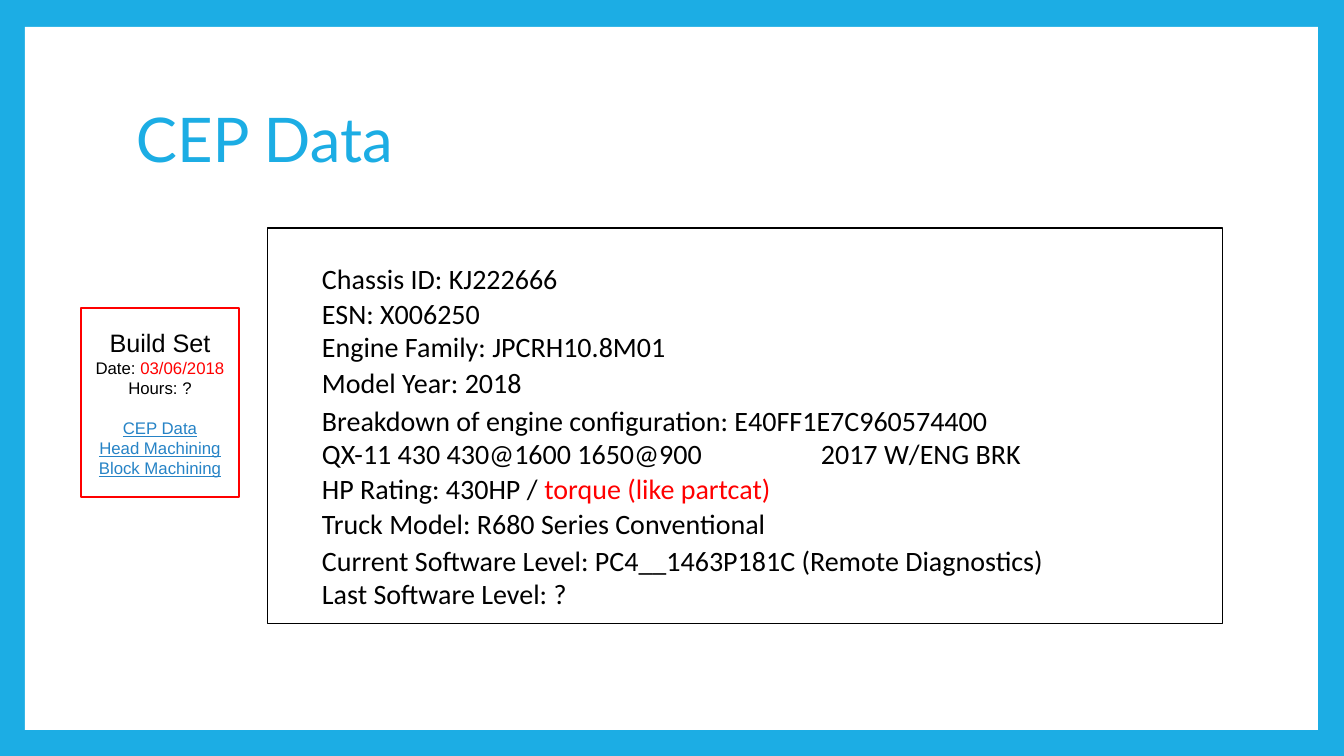
from dataclasses import dataclass
from typing import Any, Optional

from lxml.etree import SubElement
from pptx import Presentation
from pptx.dml.color import RGBColor
from pptx.enum.shapes import MSO_SHAPE
from pptx.enum.text import MSO_ANCHOR, MSO_AUTO_SIZE, PP_ALIGN
from pptx.oxml.ns import qn
from pptx.util import Emu, Pt

EMU_PER_PX = 914400 / 100.8
BLUE = RGBColor(0x1C, 0xAD, 0xE4)
LINK = RGBColor(0x26, 0x83, 0xC6)
RED = RGBColor(0xFF, 0, 0)
BLACK = RGBColor(0, 0, 0)
WHITE = RGBColor(0xFF, 0xFF, 0xFF)

TITLE = {"name": "Lato", "size": Pt(44)}
HEADING = {"name": "Arial", "size": Pt(18)}
DETAIL = {"name": "Arial", "size": Pt(12)}
LINKED = DETAIL | {"underline": True}
DATA = {"name": "Calibri", "size": Pt(20)}
FLUSH = {f"margin_{side}": 0 for side in ("left", "top", "right", "bottom")}


@dataclass(frozen=True)
class Box:
    """A rectangle in pixels."""
    left: int
    top: int
    width: int
    height: int

    def emu(self) -> list[Emu]:
        """Return the four lengths in EMU."""
        return [px(v) for v in (self.left, self.top, self.width, self.height)]


@dataclass(frozen=True)
class Run:
    """A stretch of text in one format."""
    text: str
    font: dict[str, Any]
    color: RGBColor = BLACK


@dataclass(frozen=True)
class Line:
    """A paragraph: its runs and its format."""
    runs: tuple[Run, ...]
    fmt: dict[str, Any]
    tab: int = 0


@dataclass(frozen=True)
class Entry:
    """A text box of the data panel."""
    top: int
    height: int
    lines: tuple[Line, ...]


def px(value: float) -> Emu:
    """Turn pixels into EMU."""
    return Emu(round(value * EMU_PER_PX))


def apply(target: Any, values: dict[str, Any]) -> None:
    """Set every attribute named in values."""
    for name, value in values.items():
        setattr(target, name, value)


def line(*runs: Run, tab: int = 0, **fmt: Any) -> Line:
    """Describe a paragraph."""
    return Line(runs, fmt, tab)


def data(text: str, tab: int = 0) -> Line:
    """Describe a plain line of the data panel."""
    return line(Run(text, DATA), tab=tab)


def write(tf: Any, lines: tuple[Line, ...], **fmt: Any) -> None:
    """Fill a text frame with lines."""
    apply(tf, {"word_wrap": True} | fmt)
    for i, ln in enumerate(lines):
        p = tf.add_paragraph() if i else tf.paragraphs[0]
        apply(p, ln.fmt)
        if ln.tab:
            tabs = SubElement(p._p.get_or_add_pPr(), qn("a:tabLst"))
            SubElement(tabs, qn("a:tab"), pos=str(px(ln.tab)), algn="l")
        for run in ln.runs:
            r = p.add_run()
            r.text = run.text
            apply(r.font, run.font)
            r.font.color.rgb = run.color


def add_panel(shapes: Any, box: Box, color: Optional[RGBColor] = None,
              width: float = 0) -> Any:
    """Draw a white rectangle, outlined if a colour is given."""
    sp = shapes.add_shape(MSO_SHAPE.RECTANGLE, *box.emu())
    sp.shadow.inherit = False
    sp.fill.solid()
    sp.fill.fore_color.rgb = WHITE
    if color is None:
        sp.line.fill.background()
    else:
        sp.line.color.rgb = color
        sp.line.width = Pt(width)
    return sp


def add_text(shapes: Any, box: Box, lines: tuple[Line, ...], **fmt: Any) -> None:
    """Add a text box."""
    write(shapes.add_textbox(*box.emu()).text_frame, lines, **fmt)


CENTER = {"alignment": PP_ALIGN.CENTER}
BUILD_SET = (
    line(Run("Build Set", HEADING), **CENTER),
    line(Run("Date: ", DETAIL), Run("03/06/2018", DETAIL, RED), **CENTER),
    line(Run("Hours: ?", DETAIL), **CENTER),
    line(Run("CEP Data", LINKED, LINK), space_before=Pt(14), **CENTER),
    line(Run("Head Machining", LINKED, LINK), **CENTER),
    line(Run("Block Machining", LINKED, LINK), **CENTER),
)
ENTRIES = (
    Entry(262, 35, (data("Chassis ID: KJ222666"),)),
    Entry(297, 35, (data("ESN: X006250"),)),
    Entry(330, 35, (data("Engine Family: JPCRH10.8M01"),)),
    Entry(366, 35, (data("Model Year: 2018"),)),
    Entry(403, 68, (
        data("Breakdown of engine configuration: E40FF1E7C960574400"),
        data("QX-11 430 430@1600 1650@900\t2017 W/ENG BRK", tab=499))),
    Entry(472, 35, (line(Run("HP Rating: 430HP / ", DATA),
                         Run("torque (like partcat)", DATA, RED)),)),
    Entry(507, 35, (data("Truck Model: R680 Series Conventional"),)),
    Entry(543, 68, (
        data("Current Software Level: PC4__1463P181C (Remote Diagnostics)"),
        data("Last Software Level: ?"))),
)


def main() -> None:
    """Build and save the slide."""
    prs = Presentation()
    prs.slide_width, prs.slide_height = px(1344), px(756)
    s = prs.slides.add_slide(prs.slide_layouts[6])
    s.background.fill.solid()
    s.background.fill.fore_color.rgb = BLUE

    add_panel(s.shapes, Box(25, 27, 1293, 703))
    title = line(Run("CEP Data", TITLE, BLUE), line_spacing=0.9)
    add_text(s.shapes, Box(126, 68, 1089, 149), (title,),
             vertical_anchor=MSO_ANCHOR.MIDDLE)

    sp = add_panel(s.shapes, Box(81, 308, 158, 189), RED, 1)
    write(sp.text_frame, BUILD_SET, vertical_anchor=MSO_ANCHOR.MIDDLE)

    group = s.shapes.add_group_shape()
    add_panel(group.shapes, Box(268, 228, 955, 396), BLACK, 0.75)
    for entry in ENTRIES:
        add_text(group.shapes, Box(322, entry.top, 831, entry.height), entry.lines,
                 auto_size=MSO_AUTO_SIZE.SHAPE_TO_FIT_TEXT, **FLUSH)
    prs.save("out.pptx")


main()
